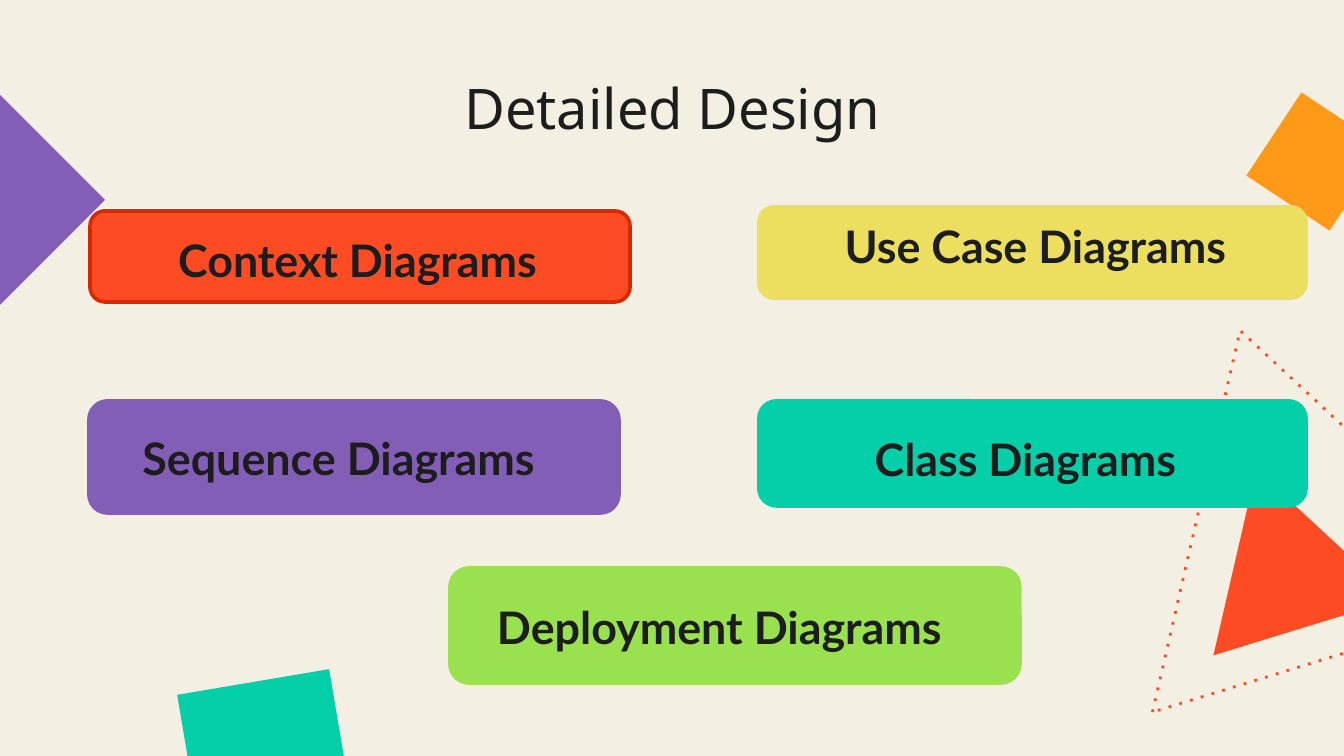
from lxml.etree import SubElement
from pptx import Presentation
from pptx.dml.color import RGBColor as RGB
from pptx.enum.shapes import MSO_SHAPE as Shape
from pptx.enum.text import MSO_ANCHOR as Anchor, PP_ALIGN as Align
from pptx.oxml.ns import qn
from pptx.util import Pt

CREAM = RGB(0xF3, 0xEF, 0xE3)
INK = RGB(0x1D, 0x1D, 0x1D)
PURPLE = RGB(0x82, 0x5E, 0xB6)
TEAL = RGB(0x04, 0xCF, 0xA9)
ORANGE = RGB(0xFF, 0x99, 0x18)
RED = RGB(0xFD, 0x4C, 0x23)
BRICK = RGB(0xD6, 0x2A, 0x02)
YELLOW = RGB(0xEC, 0xDF, 0x60)
GREEN = RGB(0x99, 0xE1, 0x4F)

WIDTH, HEIGHT = 1344, 756
SCALE = 9144000 / WIDTH  # EMU per px, slide 10 inches wide
PAD = 13


def px(*nums):
    return [round(n * SCALE) for n in nums]


def write(frame, text, *, font="Lato", size=24, bold=True, color=INK,
          align=Align.CENTER, lead=1.15):
    para = frame.paragraphs[0]
    para.alignment = align
    para.line_spacing = lead
    run = para.add_run()
    run.text = text
    run.font.name = font
    run.font.size = Pt(size)
    run.font.bold = bold
    run.font.color.rgb = color


class Deck:
    def __init__(self):
        self.file = Presentation()
        self.file.slide_width, self.file.slide_height = px(WIDTH, HEIGHT)
        self.slide = self.file.slides.add_slide(self.file.slide_layouts[6])
        fill = self.slide.background.fill
        fill.solid()
        fill.fore_color.rgb = CREAM

    def shape(self, kind, box, fill=None, line=None, weight=2, turn=0, dots=False):
        item = self.slide.shapes.add_shape(kind, *px(*box))
        item.shadow.inherit = False
        item.rotation = turn
        if fill is None:
            item.fill.background()
        else:
            item.fill.solid()
            item.fill.fore_color.rgb = fill
        if line is None:
            item.line.fill.background()
        else:
            item.line.color.rgb = line
            item.line.width = Pt(weight)
        if dots:
            edge = item.element.spPr.find(qn("a:ln"))
            SubElement(edge, qn("a:prstDash")).set("val", "dot")

    def card(self, box, fill, line=None):
        self.shape(Shape.ROUNDED_RECTANGLE, box, fill, line or fill)

    def label(self, box, text, top=PAD, **style):
        frame = self.slide.shapes.add_textbox(*px(*box)).text_frame
        frame.word_wrap = True
        frame.vertical_anchor = Anchor.TOP
        frame.margin_left, frame.margin_right, frame.margin_bottom = px(PAD, PAD, PAD)
        frame.margin_top = px(top)[0]
        write(frame, text, **style)


def main():
    deck = Deck()

    # Loose diamonds at the edges
    for left, top, side, fill, turn in (
        (-113, 91, 218, PURPLE, 0),
        (157, 649, 218, TEAL, 35.4),
        (1245, 91, 141, ORANGE, 78.5),
    ):
        deck.shape(Shape.DIAMOND, (left, top, side, side), fill, turn=turn)

    # Title
    deck.label((106, 66, 1133, 85), "Detailed Design", top=8,
               font="Noto Sans", size=30, bold=False, lead=1)

    # Tilted triangles, dotted outline around a solid one
    tri = Shape.ISOSCELES_TRIANGLE
    deck.shape(tri, (1094, 323, 392, 339), line=RED, weight=1.5, turn=342.9, dots=True)
    deck.shape(tri, (1185, 466, 191, 165), RED, turn=342.9)

    # Cards, each with its label
    for card, fill, line, box, text, align in (
        ((90, 211, 540, 91), RED, BRICK, (125, 212, 465, 103),
         "Context Diagrams", Align.CENTER),
        ((759, 207, 547, 91), YELLOW, None, (803, 198, 465, 103),
         "Use Case Diagrams", Align.CENTER),
        ((89, 401, 530, 112), PURPLE, None, (106, 410, 465, 103),
         "Sequence Diagrams", Align.CENTER),
        ((759, 401, 547, 105), TEAL, None, (793, 411, 465, 78),
         "Class Diagrams", Align.CENTER),
        ((450, 568, 570, 115), GREEN, None, (484, 579, 512, 85),
         "Deployment Diagrams", Align.LEFT),
    ):
        deck.card(card, fill, line)
        deck.label(box, text, align=align)

    deck.file.save("out.pptx")


if __name__ == "__main__":
    main()
